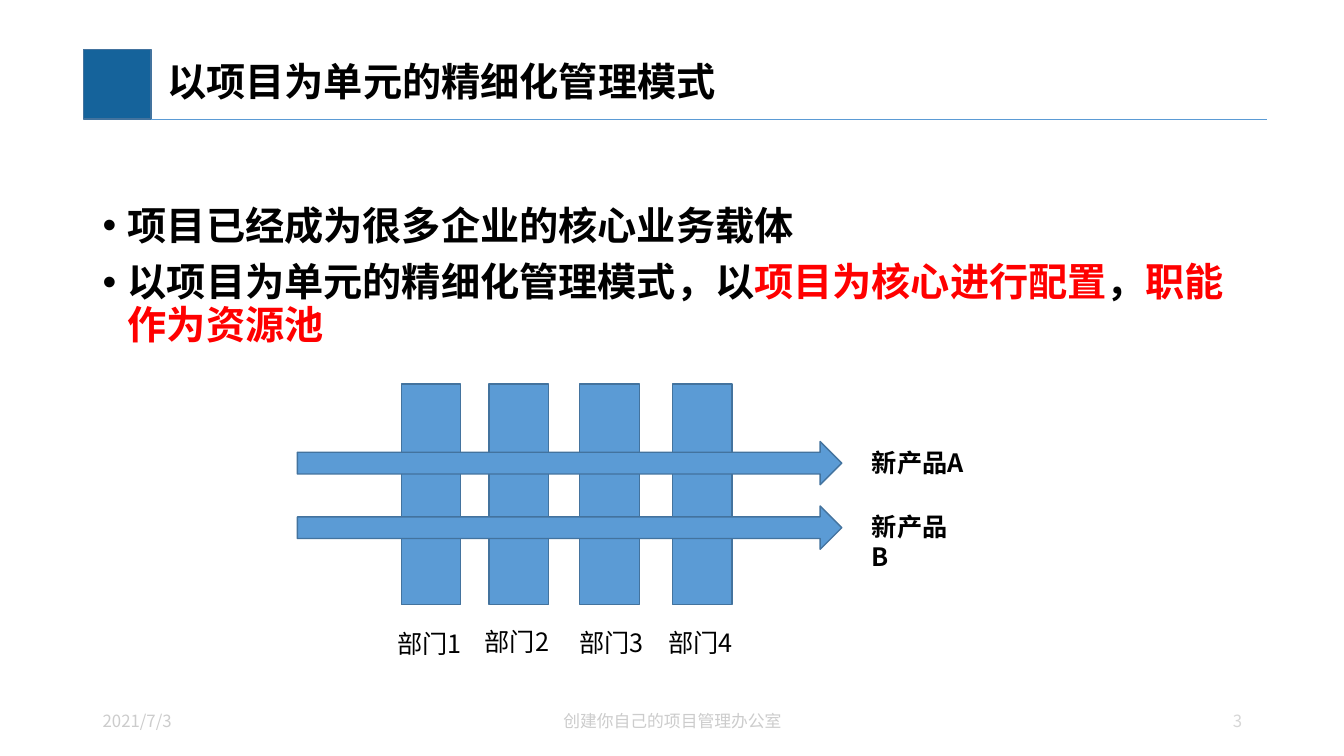
from dataclasses import dataclass

from lxml import etree
from pptx import Presentation
from pptx.dml.color import RGBColor
from pptx.enum.shapes import MSO_CONNECTOR, MSO_SHAPE
from pptx.enum.text import MSO_ANCHOR, MSO_AUTO_SIZE, PP_ALIGN
from pptx.oxml.ns import qn
from pptx.util import Inches, Pt

RECT, ARROW = MSO_SHAPE.RECTANGLE, MSO_SHAPE.RIGHT_ARROW
STRAIGHT = MSO_CONNECTOR.STRAIGHT
TOP, MIDDLE = MSO_ANCHOR.TOP, MSO_ANCHOR.MIDDLE
LEFT, CENTER, RIGHT = PP_ALIGN.LEFT, PP_ALIGN.CENTER, PP_ALIGN.RIGHT
NO_FIT, GROW = MSO_AUTO_SIZE.NONE, MSO_AUTO_SIZE.SHAPE_TO_FIT_TEXT
FONT = "Noto Sans CJK SC"
BLACK, RED, BLUE, EDGE, GREY = "000000", "FF0000", "5B9BD5", "43739E", "CCCCCC"


@dataclass
class Box:
    left: float
    top: float
    width: float
    height: float

    def emu(self) -> list:
        return [Inches(v) for v in (self.left, self.top, self.width, self.height)]


@dataclass
class Label:
    text: str
    box: Box
    size: int = 18
    color: str = BLACK
    bold: bool = False
    align: PP_ALIGN = LEFT
    anchor: MSO_ANCHOR = TOP
    grow: bool = True


def rgb(code: str) -> RGBColor:
    return RGBColor.from_string(code)


def set_all(target, values: dict) -> None:
    for name, value in values.items():
        setattr(target, name, value)


def add_run(para, text: str, size: int, color: str, bold: bool) -> None:
    run = para.add_run()
    run.text = text
    set_all(run.font, {"name": FONT, "size": Pt(size), "bold": bold})
    run.font.color.rgb = rgb(color)
    etree.SubElement(run.font._element, qn("a:ea"), typeface=FONT)


def add_shape(slide, kind: MSO_SHAPE, box: Box, fill: str = BLUE) -> None:
    shape = slide.shapes.add_shape(kind, *box.emu())
    shape.shadow.inherit = False
    shape.fill.solid()
    shape.fill.fore_color.rgb = rgb(fill)
    shape.line.color.rgb = rgb(EDGE)
    shape.line.width = Pt(1)


def add_label(slide, label: Label) -> None:
    frame = slide.shapes.add_textbox(*label.box.emu()).text_frame
    set_all(frame, {"word_wrap": not label.grow, "vertical_anchor": label.anchor,
                    "auto_size": GROW if label.grow else NO_FIT})
    para = frame.paragraphs[0]
    para.alignment = label.align
    add_run(para, label.text, label.size, label.color, label.bold)


def add_rule(slide) -> None:
    rule = slide.shapes.add_connector(
        STRAIGHT, Inches(1.5), Inches(1.18), Inches(12.57), Inches(1.18))
    rule.line.color.rgb = rgb(BLUE)
    rule.line.width = Pt(0.5)
    etree.SubElement(rule.element.spPr, qn("a:effectLst"))


def fill_title(slide, text: str) -> None:
    title = slide.shapes.title
    left, top, width, height = Box(1.5, 0.49, 11.07, 0.69).emu()
    set_all(title, {"left": left, "top": top, "width": width, "height": height})
    set_all(title.text_frame, {
        "margin_left": Inches(0.16), "margin_right": Inches(0.1),
        "margin_top": Inches(0.05), "margin_bottom": Inches(0.05),
        "vertical_anchor": MIDDLE, "word_wrap": True, "auto_size": NO_FIT})
    para = title.text_frame.paragraphs[0]
    set_all(para, {"alignment": LEFT, "line_spacing": 0.9})
    add_run(para, text, 28, BLACK, True)


def add_points(slide, points: list) -> None:
    frame = slide.shapes.add_textbox(*Box(0.92, 2, 11.5, 4.76).emu()).text_frame
    set_all(frame, {"word_wrap": True, "auto_size": NO_FIT})
    for i, runs in enumerate(points):
        para = frame.add_paragraph() if i else frame.paragraphs[0]
        set_all(para, {"line_spacing": 0.9, "space_before": Pt(10)})
        props = para._p.get_or_add_pPr()
        props.set("marL", str(Inches(0.25)))
        props.set("indent", str(-Inches(0.25)))
        etree.SubElement(props, qn("a:buFont"), typeface="Arial")
        etree.SubElement(props, qn("a:buChar"), char="•")
        for text, color in runs:
            add_run(para, text, 28, color, True)


POINTS = [
    [("项目已经成为很多企业的核心业务载体", BLACK)],
    [("以项目为单元的精细化管理模式，以", BLACK), ("项目为核心进行配置", RED),
     ("，", BLACK), ("职能作为资源池", RED)],
]
BARS = [3.98, 4.85, 5.75, 6.67]
FLOWS = [4.38, 5.02]
LABELS = [
    Label("部门1", Box(3.84, 6.18, 0.87, 0.4)),
    Label("部门2", Box(4.71, 6.16, 0.87, 0.4)),
    Label("部门3", Box(5.65, 6.17, 0.87, 0.4)),
    Label("部门4", Box(6.53, 6.17, 0.84, 0.4)),
    Label("新产品A", Box(8.55, 4.39, 1.13, 0.4), bold=True),
    Label("新产品B", Box(8.55, 5.02, 1.11, 0.4), bold=True),
    Label("2021/7/3", Box(0.92, 6.95, 3, 0.4), 12, GREY,
          anchor=MIDDLE, grow=False),
    Label("创建你自己的项目管理办公室", Box(4.42, 6.95, 4.5, 0.4), 12, GREY,
          align=CENTER, anchor=MIDDLE, grow=False),
    Label("3", Box(9.66, 6.94, 2.76, 0.42), 12, "D6D6D6",
          align=RIGHT, anchor=MIDDLE, grow=False),
]


def main() -> None:
    deck = Presentation()
    deck.slide_width, deck.slide_height = Inches(13.33), Inches(7.5)
    slide = deck.slides.add_slide(deck.slide_layouts[5])

    # Heading and bullets
    add_shape(slide, RECT, Box(0.83, 0.49, 0.67, 0.69), "15639B")
    add_rule(slide)
    fill_title(slide, "以项目为单元的精细化管理模式")
    add_points(slide, POINTS)

    # Departments crossed by product flows
    for left in BARS:
        add_shape(slide, RECT, Box(left, 3.81, 0.59, 2.19))
    for top in FLOWS:
        add_shape(slide, ARROW, Box(2.95, top, 5.4, 0.43))

    # Labels and footer
    for label in LABELS:
        add_label(slide, label)
    deck.save("out.pptx")


if __name__ == "__main__":
    main()
